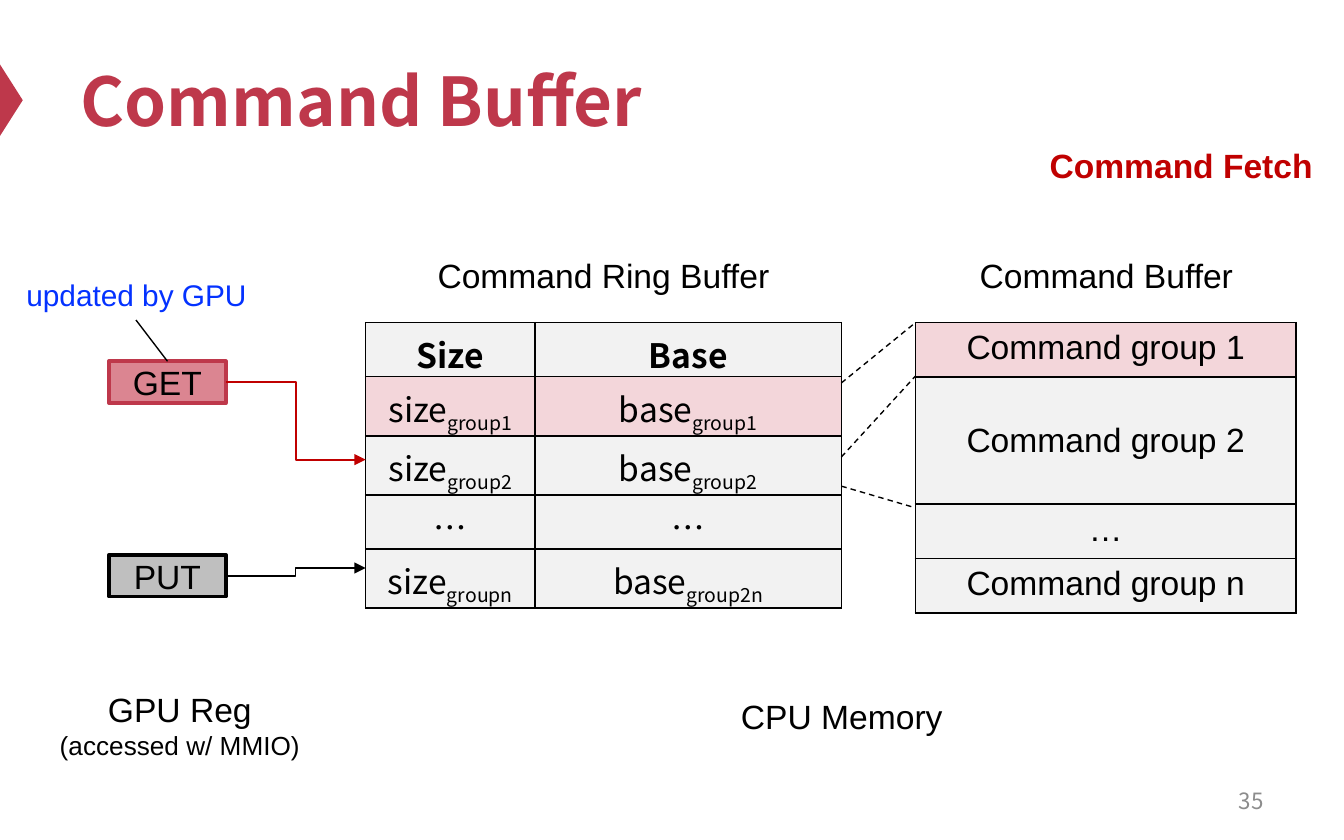
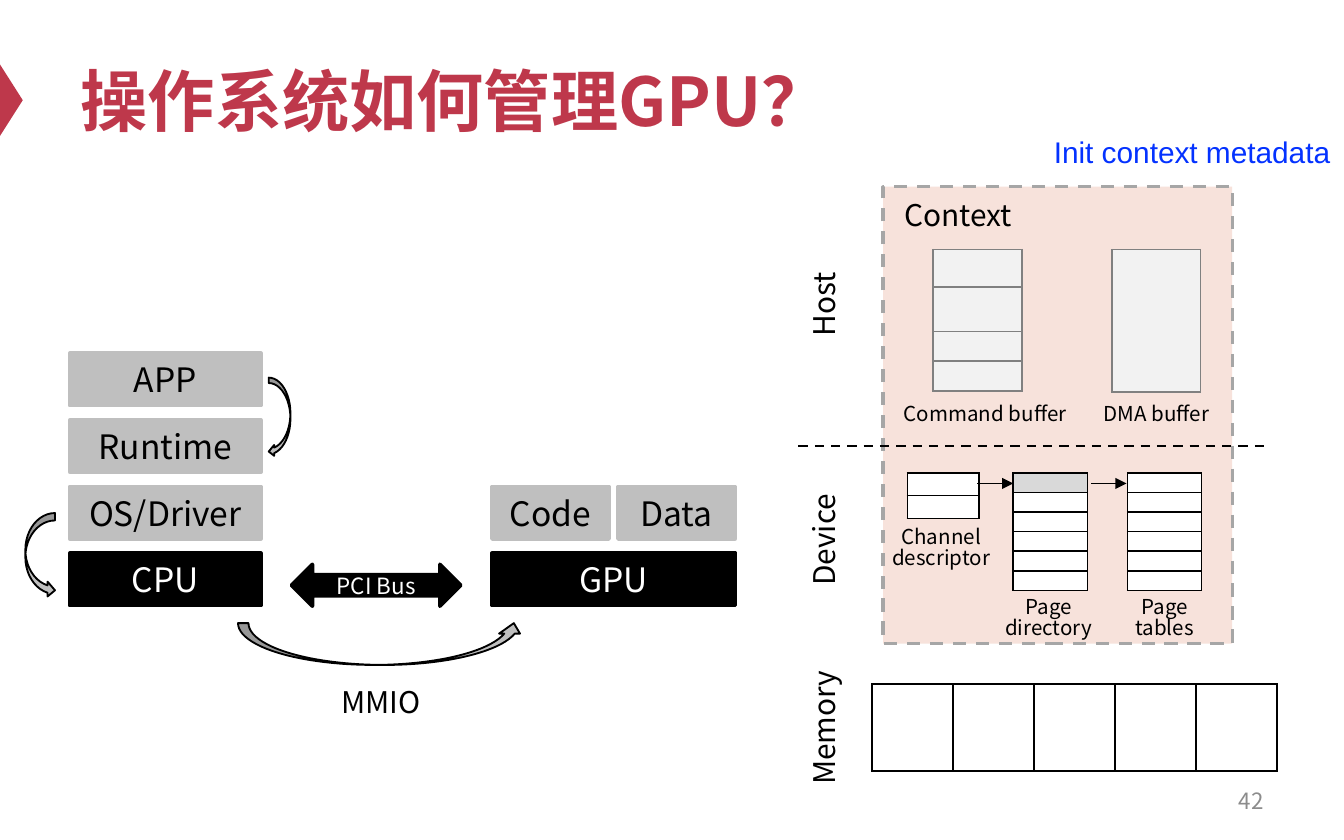
from dataclasses import dataclass, replace

from lxml.etree import SubElement
from pptx import Presentation
from pptx.dml.color import RGBColor
from pptx.enum.dml import MSO_LINE
from pptx.enum.shapes import MSO_CONNECTOR, MSO_SHAPE
from pptx.enum.text import MSO_ANCHOR, PP_ALIGN
from pptx.oxml.ns import qn
from pptx.util import Cm, Pt

SANS, ARIAL = "Noto Sans CJK SC", "Arial"
BLACK, WHITE, BLUE, RED = "000000", "FFFFFF", "0432FF", "C00000"
CRIMSON, ROSE, PINK, PEACH = "BE384B", "DB8591", "F3D6DA", "F7E2DB"
SILVER, PALE, LIGHT = "BFBFBF", "F2F2F2", "D9D9D9"
MID_GRAY, DASH_GRAY, NUMBER_GRAY = "808080", "A6A6A6", "8C8C8C"


@dataclass
class Style:
    size: float = 18
    name: str = ARIAL
    color: str = BLACK
    bold: bool = False
    subscript: bool = False


SANS_18 = Style(name=SANS)
SANS_16 = Style(16, SANS)
SANS_11 = Style(11, SANS)


def rgb(color):
    return RGBColor.from_string(color)


def set_line(line, color, width, dashed=False):
    line.color.rgb = rgb(color)
    line.width = Pt(width)
    if dashed:
        line.dash_style = MSO_LINE.DASH


def add_run(paragraph, text, style):
    run = paragraph.add_run()
    run.text = text
    run.font.size = Pt(style.size)
    run.font.name = style.name
    run.font.bold = style.bold
    run.font.color.rgb = rgb(style.color)
    properties = run._r.get_or_add_rPr()
    SubElement(properties, qn("a:ea"), typeface=style.name)
    if style.subscript:
        properties.set("baseline", "-25000")


def write(frame, paragraphs, align=PP_ALIGN.CENTER, spacing=None):
    """Fill a frame; each paragraph is a list of (text, style) runs."""
    for index, runs in enumerate(paragraphs):
        paragraph = frame.add_paragraph() if index else frame.paragraphs[0]
        paragraph.alignment = align
        if spacing:
            paragraph.line_spacing = spacing
        for text, style in runs:
            add_run(paragraph, text, style)


def set_borders(cell, color):
    properties = cell._tc.get_or_add_tcPr()
    for index, side in enumerate(("lnL", "lnR", "lnT", "lnB")):
        border = SubElement(properties, qn(f"a:{side}"), w=str(Pt(1)))
        fill = SubElement(border, qn("a:solidFill"))
        SubElement(fill, qn("a:srgbClr"), val=color)
        properties.insert(index, border)


class Deck:
    def __init__(self):
        self.presentation = Presentation()
        self.presentation.slide_width = Cm(25.4)
        self.presentation.slide_height = Cm(15.88)
        self.slide = None

    def start_slide(self, title, number):
        layout = self.presentation.slide_layouts[5]
        self.slide = self.presentation.slides.add_slide(layout)
        marker = self.shape(MSO_SHAPE.ISOSCELES_TRIANGLE, -0.46, 1.68, 1.35, 0.43,
                            CRIMSON)
        marker.rotation = 90
        heading = self.slide.shapes.title
        heading.left, heading.top = Cm(1.27), Cm(0.64)
        heading.width, heading.height = Cm(22.86), Cm(2.49)
        heading.text_frame.vertical_anchor = MSO_ANCHOR.MIDDLE
        write(heading.text_frame, [[(title, Style(36, SANS, CRIMSON, True))]],
              PP_ALIGN.LEFT)
        self.text(18.21, 14.71, 5.92, 0.84, [[(number, Style(12, SANS, NUMBER_GRAY))]],
                  PP_ALIGN.RIGHT, MSO_ANCHOR.MIDDLE)

    def shape(self, kind, left, top, width, height, fill, line=None, line_width=1.0,
              dashed=False, text=None, style=SANS_18):
        shape = self.slide.shapes.add_shape(kind, Cm(left), Cm(top), Cm(width), Cm(height))
        shape.shadow.inherit = False
        shape.fill.solid()
        shape.fill.fore_color.rgb = rgb(fill)
        if line:
            set_line(shape.line, line, line_width, dashed)
        else:
            shape.line.fill.background()
        if text:
            shape.text_frame.vertical_anchor = MSO_ANCHOR.MIDDLE
            write(shape.text_frame, [[(text, style)]])
        return shape

    def box(self, left, top, width, height, fill, line, text, style=SANS_18):
        return self.shape(MSO_SHAPE.RECTANGLE, left, top, width, height, fill, line, 2,
                          text=text, style=style)

    def text(self, left, top, width, height, paragraphs, align=PP_ALIGN.CENTER,
             anchor=MSO_ANCHOR.TOP, spacing=None):
        shape = self.slide.shapes.add_textbox(Cm(left), Cm(top), Cm(width), Cm(height))
        frame = shape.text_frame
        frame.word_wrap = True
        frame.vertical_anchor = anchor
        write(frame, paragraphs, align, spacing)
        return shape

    def label(self, left, top, width, lines, style=SANS_11, align=PP_ALIGN.CENTER,
              anchor=MSO_ANCHOR.MIDDLE):
        """Add a caption without insets, tightened when it has several lines."""
        shape = self.text(left, top, width, 0.69, [[(line, style)] for line in lines],
                          align, anchor, 0.85 if len(lines) > 1 else None)
        frame = shape.text_frame
        frame.margin_left = frame.margin_right = 0
        frame.margin_top = frame.margin_bottom = 0
        return shape

    def connector(self, start, end, color=BLACK, width=0.75, dashed=False, arrow=False,
                  kind=MSO_CONNECTOR.STRAIGHT):
        points = [Cm(value) for value in (*start, *end)]
        connector = self.slide.shapes.add_connector(kind, *points)
        set_line(connector.line, color, width, dashed)
        if arrow:
            SubElement(connector.line._get_or_add_ln(), qn("a:tailEnd"), type="triangle")
        SubElement(connector._element.spPr, qn("a:effectLst"))
        return connector

    def table(self, left, top, widths, heights, fills, border=BLACK, rows=None):
        """Add a table with one fill per row; without rows its cells stay empty."""
        table = self.slide.shapes.add_table(
            len(heights), len(widths), Cm(left), Cm(top),
            Cm(sum(widths)), Cm(sum(heights))).table
        table.first_row = table.horz_banding = False
        for column, width in zip(table.columns, widths):
            column.width = Cm(width)
        for row_index, (height, fill) in enumerate(zip(heights, fills)):
            table.rows[row_index].height = Cm(height)
            for column_index in range(len(widths)):
                cell = table.cell(row_index, column_index)
                cell.fill.solid()
                cell.fill.fore_color.rgb = rgb(fill)
                set_borders(cell, border)
                if rows:
                    write(cell.text_frame, [rows[row_index][column_index]])
                else:
                    cell.margin_left = cell.margin_right = 0
                    cell.margin_top = cell.margin_bottom = 0
                    SubElement(cell.text_frame.paragraphs[0]._p, qn("a:endParaRPr"),
                               sz="400")
        return table


def build_command_buffer(deck):
    deck.start_slide("Command Buffer", "35")
    plain = Style()
    get_register = deck.box(2.06, 6.83, 2.21, 0.79, ROSE, CRIMSON, "GET", plain)
    deck.box(2.06, 10.49, 2.21, 0.79, SILVER, BLACK, "PUT", plain)

    header = replace(SANS_18, bold=True)
    subscript = replace(SANS_18, subscript=True)

    def entry(name, group):
        return [(name, SANS_18), (group, subscript)]

    ring_rows = [
        [[("Size", header)], [("Base", header)]],
        [entry("size", "group1"), entry("base", "group1")],
        [entry("size", "group2"), entry("base", "group2")],
        [[("…", SANS_18)]] * 2,
        [entry("size", "groupn"), entry("base", "group2n")],
    ]
    deck.table(6.91, 6.1, [3.2, 5.79], [0.89] * 5, [PALE, PINK, PALE, PALE, PALE],
               rows=ring_rows)
    groups = ["Command group 1", "Command group 2", "…", "Command group n"]
    group_table = deck.table(17.3, 6.1, [7.19], [1.03, 2.4, 1.03, 1.03],
                             [PINK, PALE, PALE, PALE],
                             rows=[[[(group, plain)]] for group in groups])
    group_table.cell(1, 0).vertical_anchor = MSO_ANCHOR.MIDDLE

    deck.connector((4.27, 7.23), (6.91, 8.69), RED, 1, arrow=True,
                   kind=MSO_CONNECTOR.ELBOW)
    deck.connector((4.27, 10.89), (6.91, 10.74), arrow=True, kind=MSO_CONNECTOR.ELBOW)
    for ring_y, group_y in ((7.24, 6.1), (8.64, 7.11), (9.19, 9.6)):
        deck.connector((15.9, ring_y), (17.3, group_y), dashed=True)
    pointer = deck.connector((3.16, 6.83), (2.57, 6.05))
    pointer.begin_connect(get_register, 0)

    captions = [
        (6.91, 4.7, 8.99, "Command Ring Buffer", plain),
        (17.81, 4.7, 6.2, "Command Buffer", plain),
        (7.11, 13.03, 17.6, "CPU Memory", plain),
        (19.1, 2.62, 6.45, "Command Fetch", Style(color=RED, bold=True)),
        (0.08, 5.11, 5, "updated by GPU", Style(16, color=BLUE)),
    ]
    for left, top, width, text, style in captions:
        deck.text(left, top, width, 1.02, [[(text, style)]])
    deck.text(0.3, 12.9, 6.2, 1.63,
              [[("GPU Reg", plain)], [("(accessed w/ MMIO)", Style(14))]])


def build_gpu_management(deck):
    deck.start_slide("操作系统如何管理GPU？", "42")
    on_black = replace(SANS_18, color=WHITE)
    base_top, pitch, height = 10.46, 1.26, 0.99
    for level, name in enumerate(("OS/Driver", "Runtime", "APP"), 1):
        deck.box(1.32, base_top - level * pitch, 3.61, height, SILVER, SILVER, name)
    for left, name in ((9.3, "Code"), (11.68, "Data")):
        deck.box(left, base_top - pitch, 2.21, height, SILVER, SILVER, name)
    for left, width, name in ((1.32, 3.61, "CPU"), (9.3, 4.6, "GPU")):
        deck.box(left, base_top, width, height, BLACK, BLACK, name, on_black)
    deck.shape(MSO_SHAPE.LEFT_RIGHT_ARROW, 5.51, 10.67, 3.2, 0.79, BLACK, BLACK, 2,
               text="PCI Bus", style=Style(12, SANS, WHITE))
    deck.shape(MSO_SHAPE.CURVED_LEFT_ARROW, 5.08, 7.14, 0.41, 1.5, SILVER, BLACK)
    deck.shape(MSO_SHAPE.CURVED_RIGHT_ARROW, 0.48, 9.7, 0.56, 1.6, SILVER, BLACK)
    mmio_arrow = deck.shape(MSO_SHAPE.CURVED_RIGHT_ARROW, 6.81, 9.47, 0.79, 5.41,
                            SILVER, BLACK)
    mmio_arrow.rotation = 270
    deck.label(4.6, 12.93, 5.21, ["MMIO"], SANS_16, anchor=MSO_ANCHOR.TOP)

    deck.shape(MSO_SHAPE.RECTANGLE, 16.69, 3.53, 6.6, 8.64, PEACH, DASH_GRAY, 1.75, True)
    deck.label(17.09, 3.71, 5.21, ["Context"], SANS_16, PP_ALIGN.LEFT)
    deck.connector((15.09, 8.43), (23.9, 8.43), width=1.25, dashed=True)
    deck.table(17.63, 4.72, [1.68], [0.71, 0.84, 0.56, 0.56], [PALE] * 4, MID_GRAY)
    deck.table(21.01, 4.72, [1.68], [2.69], [PALE], MID_GRAY)
    deck.table(17.15, 8.94, [1.35], [0.43] * 2, [WHITE] * 2)
    deck.table(19.15, 8.94, [1.4], [0.37] * 6, [LIGHT] + [WHITE] * 5)
    deck.table(21.31, 8.94, [1.4], [0.37] * 6, [WHITE] * 6)
    deck.table(16.48, 12.93, [1.53] * 5, [1.65], [WHITE])

    deck.label(16.92, 7.47, 3.4, ["Command buffer"])
    deck.label(20.45, 7.47, 2.82, ["DMA buffer"])
    deck.label(16.66, 10.03, 2.26, ["Channel", "descriptor"])
    deck.label(18.69, 11.35, 2.26, ["Page", "directory"])
    deck.label(20.88, 11.35, 2.26, ["Page", "tables"])
    for top, name in ((5.41, "Host"), (9.86, "Device"), (13.41, "Memory")):
        deck.label(14.15, top, 2.82, [name], SANS_16).rotation = 270
    for start, end in ((18.47, 19.15), (20.62, 21.29)):
        deck.connector((start, 9.14), (end, 9.14), arrow=True)
    deck.text(19.56, 2.41, 5.94, 0.94,
              [[("Init context metadata", Style(16, color=BLUE))]])


def main():
    deck = Deck()
    build_command_buffer(deck)
    build_gpu_management(deck)
    deck.presentation.save("out.pptx")


if __name__ == "__main__":
    main()
